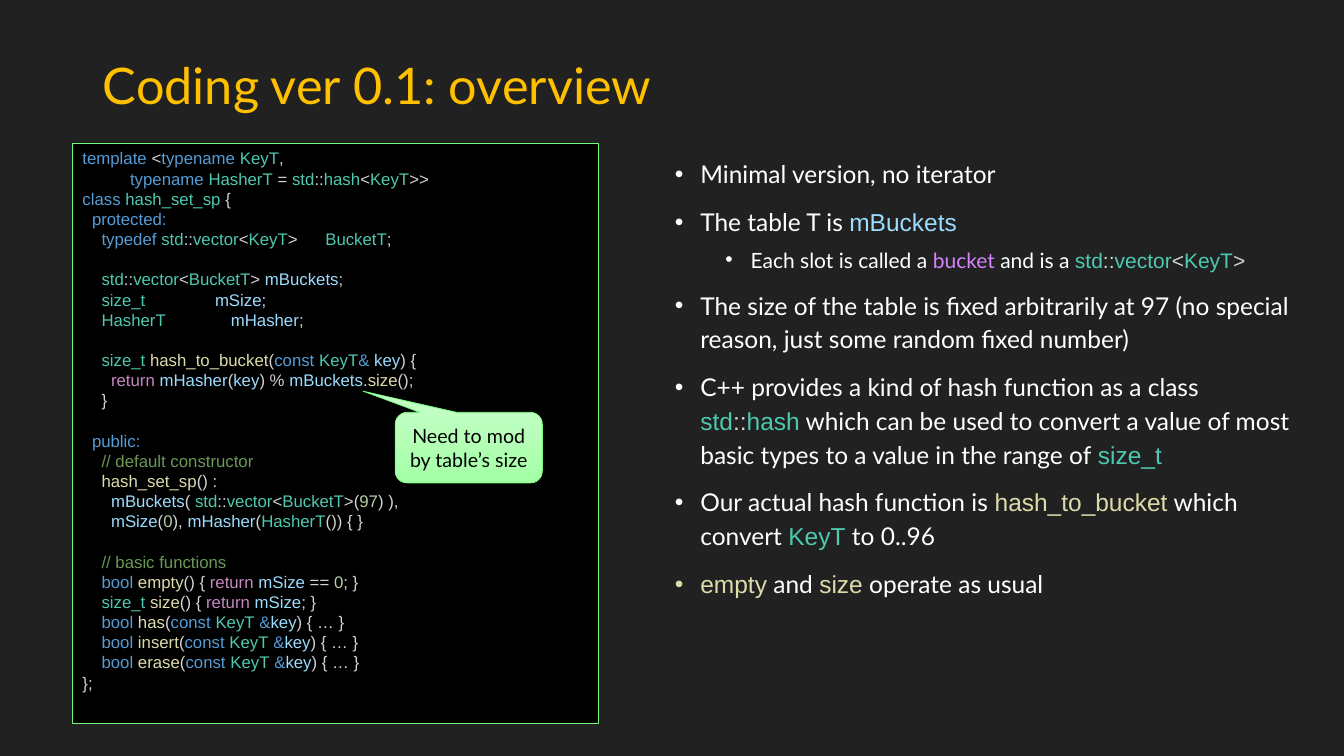
from dataclasses import dataclass
from itertools import groupby

from lxml import etree
from pptx import Presentation
from pptx.dml.color import RGBColor
from pptx.enum.shapes import MSO_SHAPE
from pptx.enum.text import MSO_ANCHOR, PP_ALIGN
from pptx.oxml.ns import qn
from pptx.shapes.autoshape import Shape
from pptx.slide import Slide
from pptx.text.text import TextFrame, _Paragraph
from pptx.util import Cm, Pt

RECTANGLE = MSO_SHAPE.RECTANGLE
CALLOUT = MSO_SHAPE.ROUNDED_RECTANGULAR_CALLOUT
LEFT, CENTER = PP_ALIGN.LEFT, PP_ALIGN.CENTER
TOP, MIDDLE = MSO_ANCHOR.TOP, MSO_ANCHOR.MIDDLE
TITLE_ONLY = 5


@dataclass(frozen=True)
class Theme:
    background: str = "212121"
    title: str = "FFC000"
    prose: str = "FFFFFF"
    term: str = "D783FF"
    panel: str = "000000"
    border: str = "73FA79"
    callout_top: str = "C0FEC2"
    callout_bottom: str = "A3FFA6"
    keyword: str = "569CD6"
    type_name: str = "4EC9B0"
    variable: str = "9CDCFE"
    function: str = "DCDCAA"
    control: str = "C586C0"
    number: str = "B5CEA8"
    comment: str = "6A9955"
    punctuation: str = "D4D4D4"
    text_font: str = "Lato"
    code_font: str = "Arial"
    title_size: float = 36
    bullet_size: float = 17.5
    sub_bullet_size: float = 15
    callout_size: float = 14
    code_size: float = 12
    code_leading: float = 14.4


THEME = Theme()

# Syntax colours by word
VOCABULARY = {
    THEME.keyword: "template typename class typedef const bool &",
    THEME.type_name: "KeyT HasherT BucketT std hash vector hash_set_sp size_t",
    THEME.variable: "mBuckets mSize mHasher key",
    THEME.function: "hash_to_bucket empty size has insert erase",
    THEME.control: "return",
    THEME.number: "0 97",
}
WORD_COLORS = {word: color for color, words in VOCABULARY.items() for word in words.split()}


@dataclass(frozen=True)
class CodeLine:
    level: int
    text: str
    gap: bool = False  # one line of space above
    column: float = 0  # tab stop in cm
    color: str = ""  # one colour for the whole line
    constructor: str = ""  # class name used as a function


@dataclass(frozen=True)
class Bullet:
    text: str  # `code` and *term* are marked
    sub: bool = False


CODE = [
    CodeLine(0, "template <typename KeyT,"),
    CodeLine(5, "typename HasherT = std::hash<KeyT>>"),
    CodeLine(0, "class hash_set_sp {"),
    CodeLine(1, "protected:", color=THEME.keyword),
    CodeLine(2, "typedef std::vector<KeyT>\tBucketT;", column=6.12),
    CodeLine(2, "std::vector<BucketT> mBuckets;", gap=True),
    CodeLine(2, "size_t\tmSize;", column=3.34),
    CodeLine(2, "HasherT\tmHasher;", column=3.74),
    CodeLine(2, "size_t hash_to_bucket(const KeyT& key) {", gap=True),
    CodeLine(3, "return mHasher(key) % mBuckets.size();"),
    CodeLine(2, "}"),
    CodeLine(1, "public:", gap=True, color=THEME.keyword),
    CodeLine(2, "// default constructor", color=THEME.comment),
    CodeLine(2, "hash_set_sp() :", constructor="hash_set_sp"),
    CodeLine(3, "mBuckets( std::vector<BucketT>(97) ),"),
    CodeLine(3, "mSize(0), mHasher(HasherT()) { }"),
    CodeLine(2, "// basic functions", gap=True, color=THEME.comment),
    CodeLine(2, "bool empty() { return mSize == 0; }"),
    CodeLine(2, "size_t size() { return mSize; }"),
    *(CodeLine(2, f"bool {name}(const KeyT &key) {{ … }}") for name in ("has", "insert", "erase")),
    CodeLine(0, "};"),
]
BULLETS = [
    Bullet("Minimal version, no iterator"),
    Bullet("The table T is `mBuckets`"),
    Bullet("Each slot is called a *bucket* and is a `std::vector<KeyT>`", sub=True),
    Bullet("The size of the table is fixed arbitrarily at 97 "
           "(no special reason, just some random fixed number)"),
    Bullet("C++ provides a kind of hash function as a class `std::hash` which can be used "
           "to convert a value of most basic types to a value in the range of `size_t`"),
    Bullet("Our actual hash function is `hash_to_bucket` which convert `KeyT` to 0..96"),
    Bullet("`empty` and `size` operate as usual"),
]


def rgb(color: str) -> RGBColor:
    return RGBColor.from_string(color)


def add_run(paragraph: _Paragraph, text: str, color: str, font: str = "") -> None:
    run = paragraph.add_run()
    run.text = text
    run.font.color.rgb = rgb(color)
    if font:
        run.font.name = font


def token_kind(char: str) -> str:
    return "word" if char.isalnum() or char == "_" else "&" if char == "&" else "punctuation"


def add_code(paragraph: _Paragraph, text: str, constructor: str = "", font: str = "") -> None:
    for _, chars in groupby(text, token_kind):
        token = "".join(chars)
        color = WORD_COLORS.get(token, THEME.punctuation)
        add_run(paragraph, token, THEME.function if token == constructor else color, font)


def style(paragraph: _Paragraph, font: str, size: float, align: PP_ALIGN = LEFT) -> None:
    paragraph.alignment = align
    paragraph.font.name, paragraph.font.size = font, Pt(size)


def paragraph_at(frame: TextFrame, index: int) -> _Paragraph:
    return frame.add_paragraph() if index else frame.paragraphs[0]


def write_code(frame: TextFrame) -> None:
    for index, line in enumerate(CODE):
        paragraph = paragraph_at(frame, index)
        stops = [stop for stop in (line.level * 0.24, line.column) if stop]
        if stops:
            tabs = etree.SubElement(paragraph._p.get_or_add_pPr(), qn("a:tabLst"))
            for stop in stops:
                etree.SubElement(tabs, qn("a:tab"), pos=str(Cm(stop)), algn="l")
        style(paragraph, THEME.code_font, THEME.code_size)
        paragraph.line_spacing = Pt(THEME.code_leading)
        paragraph.space_before = Pt(THEME.code_leading if line.gap else 0)
        text = "\t" * bool(line.level) + line.text
        if line.color:
            add_run(paragraph, text, line.color)
        else:
            add_code(paragraph, text, line.constructor)


def write_bullets(frame: TextFrame) -> None:
    for index, bullet in enumerate(BULLETS):
        paragraph = paragraph_at(frame, index)
        paragraph.level = int(bullet.sub)
        properties = paragraph._p.get_or_add_pPr()
        properties.set("marL", str(Cm(1.91 if bullet.sub else 0.64)))
        properties.set("indent", str(-Cm(0.64)))
        etree.SubElement(properties, qn("a:buFont"), typeface=THEME.code_font)
        etree.SubElement(properties, qn("a:buChar"), char="•")
        style(paragraph, THEME.text_font, THEME.sub_bullet_size if bullet.sub else THEME.bullet_size)
        paragraph.line_spacing = 1.15
        paragraph.space_before = Pt(5 if bullet.sub else 10)
        for position, part in enumerate(bullet.text.split("`")):
            if position % 2:
                add_code(paragraph, part, font=THEME.code_font)
                continue
            for order, words in enumerate(part.split("*")):
                if words:
                    add_run(paragraph, words, THEME.term if order % 2 else THEME.prose)


def add_box(slide: Slide, kind: MSO_SHAPE, box: tuple[float, ...], line_width: float,
            anchor: MSO_ANCHOR) -> Shape:
    shape = slide.shapes.add_shape(kind, *map(Cm, box))
    shape.shadow.inherit = False
    shape.line.color.rgb, shape.line.width = rgb(THEME.border), Pt(line_width)
    shape.text_frame.word_wrap, shape.text_frame.vertical_anchor = True, anchor
    return shape


def main() -> None:
    deck = Presentation()
    deck.slide_width, deck.slide_height = Cm(33.87), Cm(19.05)
    slide = deck.slides.add_slide(deck.slide_layouts[TITLE_ONLY])
    slide.background.fill.solid()
    slide.background.fill.fore_color.rgb = rgb(THEME.background)

    # Title
    title = slide.shapes.title
    title.left, title.top, title.width, title.height = map(Cm, (2.34, 1.02, 29.21, 2.41))
    title.text_frame.vertical_anchor = MIDDLE
    heading = title.text_frame.paragraphs[0]
    style(heading, THEME.text_font, THEME.title_size)
    heading.line_spacing = 0.9
    add_run(heading, "Coding ver 0.1: overview", THEME.title)

    # Explanation
    explanation = slide.shapes.add_textbox(*map(Cm, (16.76, 3.78, 16.08, 13.41)))
    explanation.text_frame.word_wrap = True
    write_bullets(explanation.text_frame)

    # Code panel
    panel = add_box(slide, RECTANGLE, (1.83, 3.61, 13.26, 14.63), 0.75, TOP)
    panel.fill.solid()
    panel.fill.fore_color.rgb = rgb(THEME.panel)
    write_code(panel.text_frame)

    # Callout on the modulo
    callout = add_box(slide, CALLOUT, (9.96, 10.39, 3.71, 1.78), 0.5, MIDDLE)
    for index, value in enumerate((-0.72, -0.8, 0.17)):
        callout.adjustments[index] = value
    callout.fill.gradient()
    callout.fill.gradient_angle = 270
    for stop, color in zip(callout.fill.gradient_stops, (THEME.callout_top, THEME.callout_bottom)):
        stop.color.rgb = rgb(color)
    advice = callout.text_frame.paragraphs[0]
    style(advice, THEME.text_font, THEME.callout_size, CENTER)
    add_run(advice, "Need to mod by table’s size", THEME.panel)

    deck.save("out.pptx")


if __name__ == "__main__":
    main()
